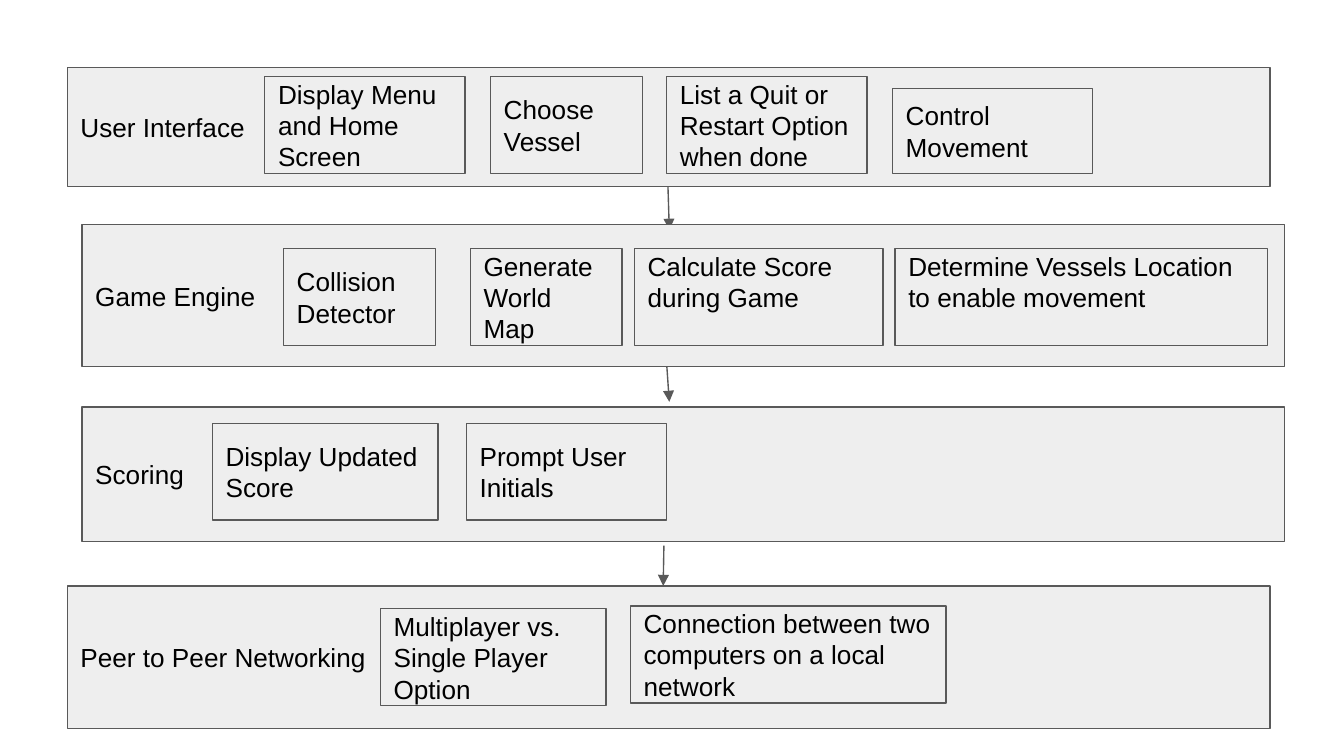
from dataclasses import dataclass, field

import lxml.etree
import pptx
import pptx.dml.color
import pptx.dml.line
import pptx.enum.shapes
import pptx.enum.text
import pptx.oxml.ns
import pptx.slide
import pptx.util

# A 16:9 slide on a grid of square cells
SLIDE_WIDTH = pptx.util.Inches(10)
SLIDE_HEIGHT = SLIDE_WIDTH * 9 // 16
COLUMN = SLIDE_WIDTH / 100
ROW = SLIDE_HEIGHT / 56.25
BAND_WIDTH = 89.5
BOX_HEIGHT = 7.2
MIDDLE = pptx.enum.text.MSO_ANCHOR.MIDDLE
TOP = pptx.enum.text.MSO_ANCHOR.TOP


@dataclass(frozen=True)
class Theme:
    fill: pptx.dml.color.RGBColor = pptx.dml.color.RGBColor(0xEE, 0xEE, 0xEE)
    line: pptx.dml.color.RGBColor = pptx.dml.color.RGBColor(0x59, 0x59, 0x59)
    text: pptx.dml.color.RGBColor = pptx.dml.color.RGBColor(0, 0, 0)
    font: str = "Arial"
    size: pptx.util.Pt = pptx.util.Pt(14)
    line_width: pptx.util.Pt = pptx.util.Pt(0.75)
    inset: pptx.util.Inches = pptx.util.Inches(0.1)
    tight_inset: pptx.util.Inches = pptx.util.Inches(0.01)


THEME = Theme()


# Lengths below are in grid columns and rows
@dataclass(frozen=True)
class Box:
    text: str
    left: float
    width: float
    top: float
    height: float = BOX_HEIGHT
    at_top: bool = False


@dataclass(frozen=True)
class Layer:
    name: str
    left: float
    top: float
    height: float
    boxes: list[Box] = field(default_factory=list)


@dataclass(frozen=True)
class Arrow:
    start: tuple[float, float]
    end: tuple[float, float]


LAYERS = [
    Layer("User Interface", 5, 5, 8.9, [
        Box("Display Menu and Home Screen", 19.7, 14.9, 5.7),
        Box("Choose Vessel", 36.5, 11.3, 5.7),
        Box("List a Quit or Restart Option when done", 49.6, 14.9, 5.7),
        Box("Control Movement", 66.4, 14.9, 6.6, 6.3),
    ]),
    Layer("Game Engine", 6.1, 16.7, 10.6, [
        Box("Collision Detector", 21.1, 11.3, 18.5),
        Box("Generate World Map", 35, 11.3, 18.5),
        Box("Calculate Score during Game", 47.2, 18.5, 18.5, at_top=True),
        Box("Determine Vessels Location to enable movement", 66.6, 27.7, 18.5, at_top=True),
    ]),
    Layer("Scoring", 6.1, 30.3, 10, [
        Box("Display Updated Score", 15.8, 16.8, 31.5),
        Box("Prompt User Initials", 34.7, 14.9, 31.5),
    ]),
    Layer("Peer to Peer Networking", 5, 43.6, 10.6, [
        Box("Multiplayer vs. Single Player Option", 28.3, 16.8, 45.3),
        Box("Connection between two computers on a local network", 46.9, 23.5, 45.1),
    ]),
]
ARROWS = [
    Arrow((49.7, 13.8), (49.8, 17.1)),
    Arrow((49.6, 27), (49.8, 29.9)),
    Arrow((49.4, 40.6), (49.35, 43.6)),
]


def set_attributes(target: object, values: dict[str, object]) -> None:
    for name, value in values.items():
        setattr(target, name, value)


def style_line(line: pptx.dml.line.LineFormat) -> None:
    line.color.rgb = THEME.line
    line.width = THEME.line_width


def draw_box(slide: pptx.slide.Slide, box: Box) -> None:
    shape = slide.shapes.add_shape(
        pptx.enum.shapes.MSO_SHAPE.RECTANGLE,
        round(box.left * COLUMN), round(box.top * ROW),
        round(box.width * COLUMN), round(box.height * ROW))
    shape.shadow.inherit = False
    shape.fill.solid()
    shape.fill.fore_color.rgb = THEME.fill
    style_line(shape.line)
    set_attributes(shape.text_frame, {
        "word_wrap": True,
        "vertical_anchor": TOP if box.at_top else MIDDLE,
        "margin_left": THEME.inset,
        "margin_right": THEME.inset,
        "margin_top": THEME.tight_inset if box.at_top else THEME.inset,
        "margin_bottom": THEME.inset,
    })
    paragraph = shape.text_frame.paragraphs[0]
    paragraph.alignment = pptx.enum.text.PP_ALIGN.LEFT
    run = paragraph.add_run()
    run.text = box.text
    set_attributes(run.font, {"name": THEME.font, "size": THEME.size})
    run.font.color.rgb = THEME.text


def draw_arrow(slide: pptx.slide.Slide, arrow: Arrow) -> None:
    ends = [round(value * unit) for point in (arrow.start, arrow.end)
            for value, unit in zip(point, (COLUMN, ROW))]
    connector = slide.shapes.add_connector(
        pptx.enum.shapes.MSO_CONNECTOR.STRAIGHT, *ends)
    style_line(connector.line)
    properties = connector._element.spPr
    head = lxml.etree.SubElement(
        properties.find(pptx.oxml.ns.qn("a:ln")), pptx.oxml.ns.qn("a:tailEnd"))
    head.set("type", "triangle")
    lxml.etree.SubElement(properties, pptx.oxml.ns.qn("a:effectLst"))


def draw_layer(slide: pptx.slide.Slide, layer: Layer) -> None:
    draw_box(slide, Box(layer.name, layer.left, BAND_WIDTH, layer.top, layer.height))
    for box in layer.boxes:
        draw_box(slide, box)


presentation = pptx.Presentation()
set_attributes(presentation, {"slide_width": SLIDE_WIDTH, "slide_height": SLIDE_HEIGHT})
slide = presentation.slides.add_slide(presentation.slide_layouts[6])

# Arrows lie behind the layers they join
for arrow in ARROWS:
    draw_arrow(slide, arrow)
for layer in LAYERS:
    draw_layer(slide, layer)

presentation.save("out.pptx")
